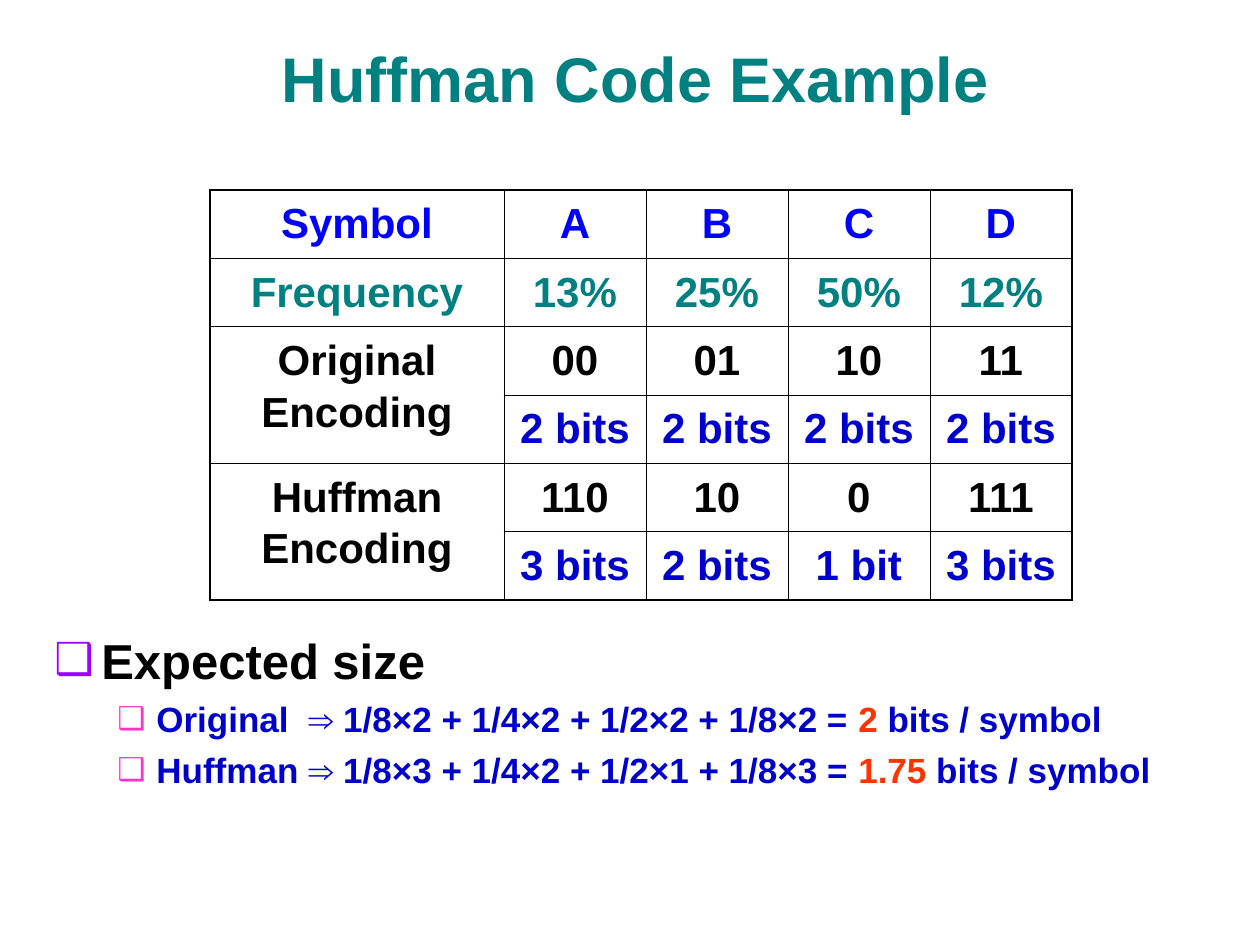
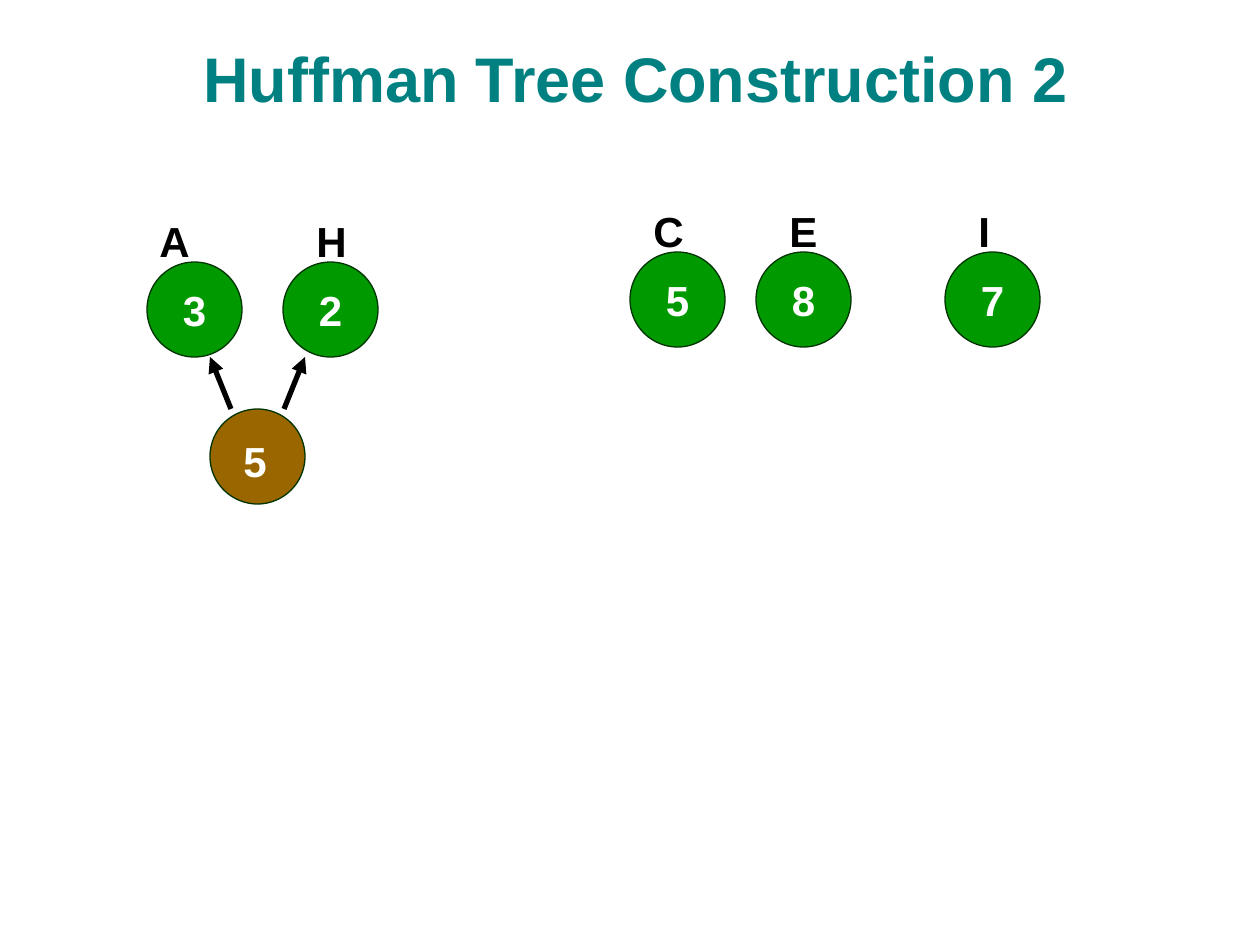
from dataclasses import dataclass

from lxml import etree
from pptx import Presentation
from pptx.dml.color import RGBColor
from pptx.enum.shapes import MSO_CONNECTOR, MSO_SHAPE
from pptx.enum.text import MSO_ANCHOR, MSO_AUTO_SIZE, PP_ALIGN
from pptx.oxml.ns import qn
from pptx.util import Emu, Pt

CENTER = PP_ALIGN.CENTER
LEFT = PP_ALIGN.LEFT
MIDDLE = MSO_ANCHOR.MIDDLE
BOTTOM = MSO_ANCHOR.BOTTOM
NO_AUTOFIT = MSO_AUTO_SIZE.NONE
ELLIPSE = MSO_SHAPE.OVAL
STRAIGHT = MSO_CONNECTOR.STRAIGHT
PX_PER_INCH = 126
NODE_SIZE = 95


@dataclass(frozen=True)
class Theme:
    """Colours, font and type sizes of the deck."""
    font: str = "Arial"
    teal: str = "008080"
    black: str = "000000"
    white: str = "FFFFFF"
    bright_blue: str = "0000FF"
    blue: str = "0000CC"
    red: str = "FF3300"
    purple: str = "9900FF"
    pink: str = "FF33CC"
    leaf: str = "009900"
    parent: str = "996600"
    node_line: str = "003300"
    title_size: int = 36
    heading_size: int = 28
    text_size: int = 24
    detail_size: int = 20
    outer_border: float = 1.08
    inner_border: float = 0.45


THEME = Theme()

TITLE_BOX = (42, 21, 1187, 100)
TABLE_BOX = (210, 190, 862, 410)
SIZES_BOX = (42, 618, 1187, 274)
TREE_BOX = (147, 262, 231, 242)
QUEUE_BOX = (630, 252, 410, 95)

CODE_COLUMNS = (294, 142, 142, 142, 142)
CODE_ROWS = (
    (THEME.bright_blue, ("Symbol", "A", "B", "C", "D")),
    (THEME.teal, ("Frequency", "13%", "25%", "50%", "12%")),
    (THEME.black, ("Original Encoding", "00", "01", "10", "11")),
    (THEME.blue, ("", "2 bits", "2 bits", "2 bits", "2 bits")),
    (THEME.black, ("Huffman Encoding", "110", "10", "0", "111")),
    (THEME.blue, ("", "3 bits", "2 bits", "1 bit", "3 bits")),
)
EXPECTED_SIZES = (
    ("Original  ⇒ 1/8×2 + 1/4×2 + 1/2×2 + 1/8×2 = ", "2"),
    ("Huffman ⇒ 1/8×3 + 1/4×2 + 1/2×1 + 1/8×3 = ", "1.75"),
)


def px(length):
    """Turn px into EMU."""
    return Emu(round(length * 914400 / PX_PER_INCH))


def place(box):
    """Turn a px box into EMU."""
    return [px(length) for length in box]


def style_run(run, size, colour):
    """Give a run the bold deck font."""
    run.font.name = THEME.font
    run.font.size = Pt(size)
    run.font.bold = True
    run.font.color.rgb = RGBColor.from_string(colour)


def write(frame, text, size, colour, align=LEFT):
    """Set one styled paragraph in a text frame and return it."""
    frame.text = text
    para = frame.paragraphs[0]
    para.alignment = align
    for run in para.runs:
        style_run(run, size, colour)
    return para


def add_page(deck, title):
    """Add a title-only slide with the shared title style."""
    page = deck.slides.add_slide(deck.slide_layouts[5])
    shape = page.shapes.title
    shape.left, shape.top, shape.width, shape.height = place(TITLE_BOX)
    frame = shape.text_frame
    write(frame, title, THEME.title_size, THEME.teal, CENTER)
    frame.vertical_anchor = BOTTOM
    frame.auto_size = NO_AUTOFIT
    return page


def set_borders(cell, outer_sides):
    """Draw the four cell borders, thicker on the outer sides."""
    properties = cell._tc.get_or_add_tcPr()
    for side in "LRTB":
        width = THEME.outer_border if side in outer_sides else THEME.inner_border
        line = etree.SubElement(properties, qn(f"a:ln{side}"), w=str(Pt(width)))
        fill = etree.SubElement(line, qn("a:solidFill"))
        etree.SubElement(fill, qn("a:srgbClr"), val=THEME.black)


def add_code_table(page, box):
    """Add the table that compares both encodings."""
    row_count, column_count = len(CODE_ROWS), len(CODE_COLUMNS)
    table = page.shapes.add_table(row_count, column_count, *place(box)).table
    table.first_row = table.horz_banding = False
    for column, width in zip(table.columns, CODE_COLUMNS):
        column.width = px(width)
    for top in (2, 4):
        table.cell(top, 0).merge(table.cell(top + 1, 0))
    for row_index, (colour, texts) in enumerate(CODE_ROWS):
        table.rows[row_index].height = px(box[3] / row_count)
        for column_index, text in enumerate(texts):
            cell = table.cell(row_index, column_index)
            last_row = row_index + (cell.span_height if cell.is_merge_origin else 1)
            edges = {"L": column_index == 0, "R": column_index == column_count - 1,
                     "T": row_index == 0, "B": last_row == row_count}
            set_borders(cell, [side for side, outer in edges.items() if outer])
            cell.fill.background()
            if text:
                para = write(cell.text_frame, text, THEME.text_size, colour, CENTER)
                para.line_spacing = 1.1
                para.space_before = Pt(6)


def set_bullet(para, colour, margin, hang):
    """Give a paragraph a hanging box bullet."""
    properties = para._p.get_or_add_pPr()
    properties.set("marL", str(px(margin)))
    properties.set("indent", str(-px(hang)))
    bullet_colour = etree.SubElement(properties, qn("a:buClr"))
    etree.SubElement(bullet_colour, qn("a:srgbClr"), val=colour)
    etree.SubElement(properties, qn("a:buSzPct"), val="90000")
    etree.SubElement(properties, qn("a:buFont"), typeface=THEME.font)
    etree.SubElement(properties, qn("a:buChar"), char="❑")


def add_expected_sizes(page, box):
    """Add the bulleted sums of expected bits per symbol."""
    frame = page.shapes.add_textbox(*place(box)).text_frame
    frame.word_wrap = True
    heading = write(frame, "Expected size", THEME.heading_size, THEME.black)
    heading.line_spacing = 1.1
    heading.space_before = Pt(7)
    set_bullet(heading, THEME.purple, 47, 47)
    for formula, result in EXPECTED_SIZES:
        para = frame.add_paragraph()
        para.level = 1
        para.space_before = Pt(5)
        set_bullet(para, THEME.pink, 102, 39)
        for text, colour in ((formula, THEME.blue), (result, THEME.red),
                             (" bits / symbol", THEME.blue)):
            run = para.add_run()
            run.text = text
            style_run(run, THEME.detail_size, colour)


def add_label(page, left, top, text, colour):
    """Add a one-letter text box."""
    frame = page.shapes.add_textbox(*place((left, top, 55, 63))).text_frame
    frame.word_wrap = False
    write(frame, text, THEME.text_size, colour)


def add_node(page, left, top, colour):
    """Add a round tree node and return it."""
    node = page.shapes.add_shape(ELLIPSE, *place((left, top, NODE_SIZE, NODE_SIZE)))
    node.shadow.inherit = False
    node.fill.solid()
    node.fill.fore_color.rgb = RGBColor.from_string(colour)
    node.line.color.rgb = RGBColor.from_string(THEME.node_line)
    node.line.width = Pt(0.75)
    return node


def add_leaf(page, left, top, letter, weight, label_shift):
    """Add a leaf with its weight inside and its letter above."""
    frame = add_node(page, left, top, THEME.leaf).text_frame
    frame.word_wrap = False
    frame.vertical_anchor = MIDDLE
    write(frame, weight, THEME.text_size, THEME.white, CENTER)
    add_label(page, left + label_shift, top - 53, letter, THEME.black)


def add_arrow(page, start, end):
    """Add a thick arrow between two points."""
    arrow = page.shapes.add_connector(STRAIGHT, *place((*start, *end)))
    arrow.line.color.rgb = RGBColor.from_string(THEME.black)
    arrow.line.width = Pt(3)
    etree.SubElement(arrow.line._get_or_add_ln(), qn("a:tailEnd"), type="triangle")
    etree.SubElement(arrow._element.spPr, qn("a:effectLst"))


def add_tree(page, box):
    """Add the merged tree of the two lightest leaves."""
    left, top, width, height = box
    add_leaf(page, left, top, "A", "3", 0)
    add_leaf(page, left + width - NODE_SIZE, top, "H", "2", 21)
    parent_left, parent_top = left + 63, top + height - NODE_SIZE
    add_node(page, parent_left, parent_top, THEME.parent)
    add_label(page, parent_left + 21, parent_top + 20, "5", THEME.white)
    for start, end in ((21, 0), (74, NODE_SIZE)):
        add_arrow(page, (parent_left + start, parent_top),
                  (parent_left + end, top + NODE_SIZE))


def add_queue(page, box):
    """Add the leaves that still wait to be merged."""
    left, top = box[:2]
    for offset, letter, weight, shift in ((0, "C", "5", 11), (126, "E", "8", 21),
                                          (315, "I", "7", 21)):
        add_leaf(page, left + offset, top, letter, weight, shift)


def main():
    """Build and save the deck."""
    deck = Presentation()
    deck.slide_width, deck.slide_height = px(1260), px(945)
    code_page = add_page(deck, "Huffman Code Example")
    add_expected_sizes(code_page, SIZES_BOX)
    add_code_table(code_page, TABLE_BOX)
    tree_page = add_page(deck, "Huffman Tree Construction 2")
    add_tree(tree_page, TREE_BOX)
    add_queue(tree_page, QUEUE_BOX)
    deck.save("out.pptx")


if __name__ == "__main__":
    main()
